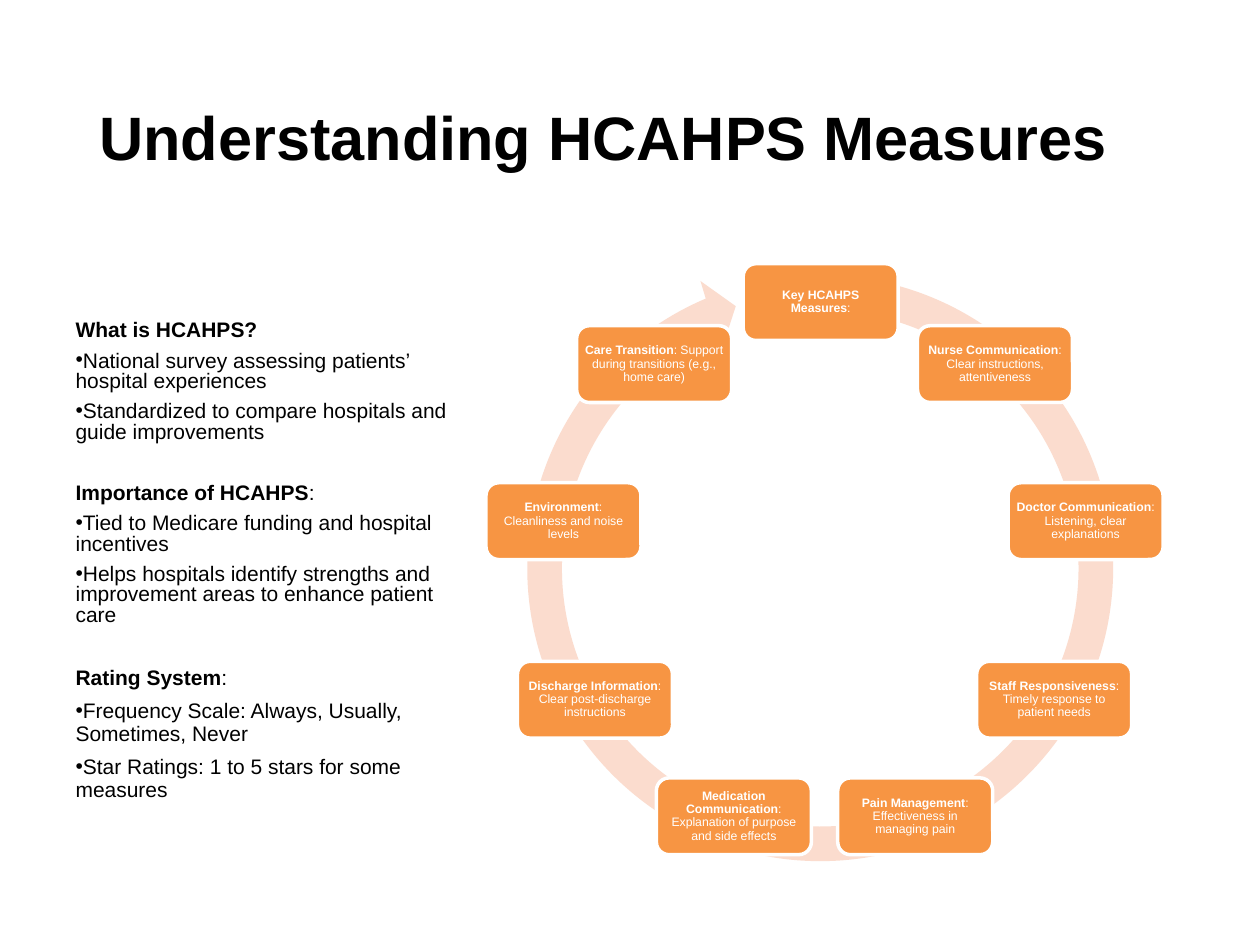
from math import cos, radians, sin, tan
from typing import NamedTuple

from lxml import etree
from pptx import Presentation
from pptx.dml.color import RGBColor
from pptx.enum.shapes import MSO_SHAPE
from pptx.enum.text import MSO_ANCHOR, MSO_AUTO_SIZE, PP_ALIGN
from pptx.oxml.ns import qn
from pptx.util import Pt

ROUND = MSO_SHAPE.ROUNDED_RECTANGLE
MIDDLE, TOP = MSO_ANCHOR.MIDDLE, MSO_ANCHOR.TOP
LEFT, CENTER = PP_ALIGN.LEFT, PP_ALIGN.CENTER
NO_FIT = MSO_AUTO_SIZE.NONE

BLACK = RGBColor(0, 0, 0)
WHITE = RGBColor(255, 255, 255)
ORANGE = RGBColor(0xF7, 0x95, 0x43)
PEACH = RGBColor(0xFB, 0xDC, 0xCE)
FONT = "Arial"

# Card cycle, in points
MID_X, MID_Y = 471.2, 324.1
RADIUS = 151.5
CARD_W, CARD_H = 88.6, 43.9
SHIFT = -2.2  # the first card sits a little left

# Ring arrow, in points; its frame is a square
RING_X, RING_Y, RING_SIDE = 290.9, 146.9, 355.7
OUTER, INNER = 167.4, 147.6
START, OUTER_END, INNER_END = 9.9, 337, 336.4
HEAD = [(400.3, 160.6), (420.5, 175), (412.6, 199.4), (409.7, 189.4)]
CURVES = 5


class Card(NamedTuple):
    name: str
    note: str = ""


class Part(NamedTuple):
    head: str
    tail: str
    items: list[str]
    lead: float
    pitch: float


CARDS = [
    Card("Key HCAHPS Measures"),
    Card("Nurse Communication", "Clear instructions, attentiveness"),
    Card("Doctor Communication", "Listening, clear explanations"),
    Card("Staff Responsiveness", "Timely response to patient needs"),
    Card("Pain Management", "Effectiveness in managing pain"),
    Card("Medication Communication", "Explanation of purpose and side effects"),
    Card("Discharge Information", "Clear post-discharge instructions"),
    Card("Environment", "Cleanliness and noise levels"),
    Card("Care Transition", "Support during transitions (e.g., home care)"),
]

PARTS = [
    Part("What is HCAHPS?", "", [
        "National survey assessing patients’ hospital experiences",
        "Standardized to compare hospitals and guide improvements",
    ], 0, 0.8),
    Part("Importance of HCAHPS", ":", [
        "Tied to Medicare funding and hospital incentives",
        "Helps hospitals identify strengths and improvement areas to enhance patient care",
    ], 23.5, 0.8),
    Part("Rating System", ":", [
        "Frequency Scale: Always, Usually, Sometimes, Never",
        "Star Ratings: 1 to 5 stars for some measures",
    ], 23.5, 0.9),
]


def write(para, bold="", plain="", *, size, color=BLACK, align=LEFT,
          pitch=0.9, before=0.0, bullet=False):
    """Fill a paragraph with a bold run followed by a plain run."""
    props = para._p.get_or_add_pPr()
    props.set("marL", "0")
    props.set("indent", str(-Pt(6)) if bullet else "0")
    if bullet:
        tint = etree.SubElement(props, qn("a:buClr"))
        etree.SubElement(tint, qn("a:srgbClr"), val=str(BLACK))
        etree.SubElement(props, qn("a:buChar"), char="•")
    else:
        etree.SubElement(props, qn("a:buNone"))
    para.alignment = align
    para.line_spacing = pitch
    para.space_before = Pt(before)
    for text, heavy in ((bold, True), (plain, False)):
        if text:
            run = para.add_run()
            run.text = text
            font = run.font
            font.name, font.size, font.bold = FONT, Pt(size), heavy
            font.color.rgb = color


def set_frame(frame, anchor, side: float, edge: float):
    frame.word_wrap = True
    frame.auto_size = NO_FIT
    frame.vertical_anchor = anchor
    frame.margin_left = frame.margin_right = Pt(side)
    frame.margin_top = frame.margin_bottom = Pt(edge)


def place(shape, left: float, top: float, width: float, height: float):
    shape.left, shape.top = Pt(left), Pt(top)
    shape.width, shape.height = Pt(width), Pt(height)


def add_step(track, kind: str, *points: tuple[float, float]):
    """Append a path command whose points are in slide coordinates."""
    step = etree.SubElement(track, qn(f"a:{kind}"))
    for x, y in points:
        etree.SubElement(step, qn("a:pt"), x=str(Pt(x - RING_X)), y=str(Pt(y - RING_Y)))


def ring_point(radius: float, angle: float, pull=0.0) -> tuple[float, float]:
    """Point clockwise from the top, pulled along its tangent."""
    mid, turn = RING_SIDE / 2, radians(angle)
    return (RING_X + mid + radius * (sin(turn) + pull * cos(turn)),
            RING_Y + mid + radius * (pull * sin(turn) - cos(turn)))


def add_arc(track, radius: float, first: float, last: float):
    step = (last - first) / CURVES
    pull = 4 / 3 * tan(radians(step) / 4)
    for i in range(CURVES):
        a, b = first + i * step, first + (i + 1) * step
        add_step(track, "cubicBezTo", ring_point(radius, a, pull),
                 ring_point(radius, b, -pull), ring_point(radius, b))


def draw_ring(slide):
    right, low = Pt(RING_X + RING_SIDE), Pt(RING_Y + RING_SIDE)
    form = slide.shapes.build_freeform(Pt(RING_X), Pt(RING_Y))
    form.add_line_segments([(right, Pt(RING_Y)), (right, low), (Pt(RING_X), low)])
    ring = form.convert_to_shape()
    track = ring._element.find(".//" + qn("a:pathLst"))[0]
    for step in list(track):
        track.remove(step)
    add_step(track, "moveTo", ring_point(OUTER, START))
    add_arc(track, OUTER, START, OUTER_END)
    for point in HEAD:
        add_step(track, "lnTo", point)
    add_step(track, "lnTo", ring_point(INNER, INNER_END))
    add_arc(track, INNER, INNER_END, START)
    add_step(track, "close")
    ring.shadow.inherit = False
    ring.fill.solid()
    ring.fill.fore_color.rgb = PEACH
    ring.line.fill.background()


def draw_card(slide, card: Card, x: float, y: float):
    """Draw a card centred on x, y."""
    box = slide.shapes.add_shape(ROUND, Pt(x - CARD_W / 2), Pt(y - CARD_H / 2),
                                 Pt(CARD_W), Pt(CARD_H))
    box.shadow.inherit = False
    box.fill.solid()
    box.fill.fore_color.rgb = ORANGE
    box.line.color.rgb = WHITE
    box.line.width = Pt(2)
    set_frame(box.text_frame, MIDDLE, 2.35, 2.1)
    plain = f": {card.note}" if card.note else ":"
    write(box.text_frame.paragraphs[0], card.name, plain,
          size=7, color=WHITE, align=CENTER)


def fill_body(frame):
    set_frame(frame, TOP, 7.2, 3.6)
    para = frame.paragraphs[0]
    for i, part in enumerate(PARTS):
        if i:
            para = frame.add_paragraph()
        write(para, part.head, part.tail, size=12, pitch=part.pitch, before=part.lead)
        for item in part.items:
            write(frame.add_paragraph(), plain=item, size=12,
                  pitch=part.pitch, before=6, bullet=True)


def main():
    deck = Presentation()
    deck.slide_width, deck.slide_height = Pt(720), Pt(540)
    slide = deck.slides.add_slide(deck.slide_layouts[1])

    title = slide.shapes.title
    place(title, 49.5, 28.8, 621, 103)
    set_frame(title.text_frame, MIDDLE, 7.2, 3.6)
    write(title.text_frame.paragraphs[0], "Understanding HCAHPS Measures", size=35)

    body = slide.placeholders[1]
    place(body, 36, 180, 237, 302.4)
    fill_body(body.text_frame)

    draw_ring(slide)
    for i, card in enumerate(CARDS):
        turn = radians(360 / len(CARDS) * i)
        x, y = MID_X + RADIUS * sin(turn), MID_Y - RADIUS * cos(turn)
        draw_card(slide, card, x if i else x + SHIFT, y)

    deck.save("out.pptx")


if __name__ == "__main__":
    main()
